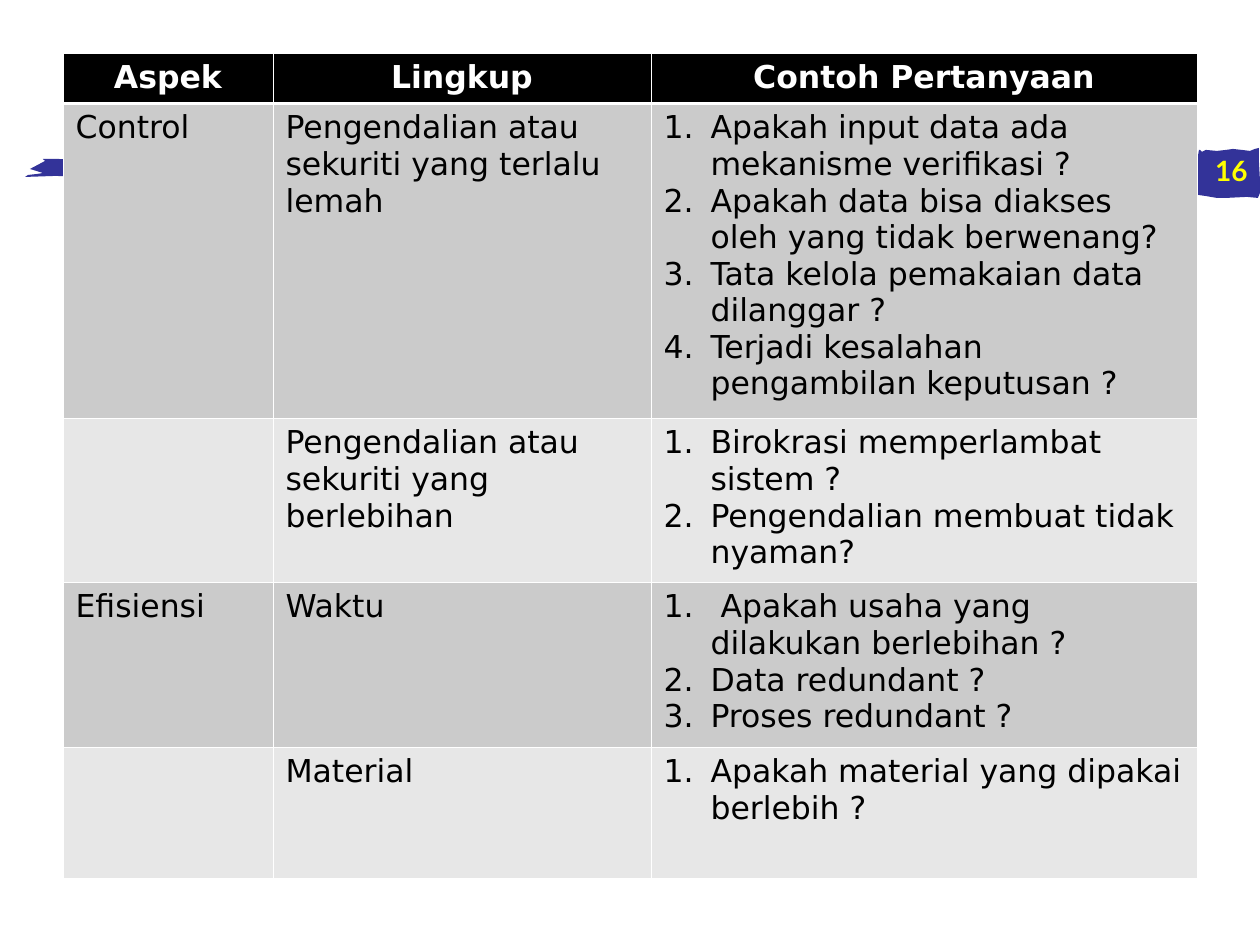
import pptx
import pptx.dml.color
import pptx.enum.text
import pptx.oxml
import pptx.oxml.ns
import pptx.util

SCALE = 914400 / 126
ALIGN = pptx.enum.text.PP_ALIGN
NAVY, YELLOW, BLACK, WHITE = "333399", "FFFF00", "000000", "FFFFFF"
BANDS = ("CBCBCB", "E7E7E7")

BADGE = [
    (1200, 150), (1202, 152), (1206, 150), (1217, 151), (1226, 150),
    (1233, 149), (1242, 150), (1250, 151), (1255, 149), (1259, 148),
    (1259, 161), (1260, 180), (1260, 193), (1258, 198), (1247, 197),
    (1226, 198), (1217, 198), (1205, 196), (1198, 195), (1197, 192),
    (1198, 186), (1197, 176), (1198, 156), (1199, 150),
]
STROKE = [
    (59, 159), (92, 160), (364, 159), (514, 160), (1007, 158),
    (1068, 159), (1065, 161), (1077, 163), (1071, 165), (1065, 168),
    (1074, 171), (1074, 175), (1069, 178), (859, 177), (514, 178),
    (363, 179), (150, 177), (54, 176), (25, 177), (28, 175), (37, 174),
    (43, 173), (30, 169), (45, 161), (43, 159),
]
COLUMNS = [210, 378, 546]
HEIGHTS = [50, 315, 164, 165, 131]
HEADINGS = ["Aspek", "Lingkup", "Contoh Pertanyaan"]
ROWS = [
    ("Control", "Pengendalian atau sekuriti yang terlalu lemah", [
        "Apakah input data ada mekanisme verifikasi ?",
        "Apakah data bisa diakses oleh yang tidak berwenang?",
        "Tata kelola pemakaian data dilanggar ?",
        "Terjadi kesalahan pengambilan keputusan ?"]),
    ("", "Pengendalian atau sekuriti yang berlebihan", [
        "Birokrasi memperlambat sistem ?",
        "Pengendalian membuat tidak nyaman?"]),
    ("Efisiensi", "Waktu", [
        " Apakah usaha yang dilakukan berlebihan ?",
        "Data redundant ?",
        "Proses redundant ?"]),
    ("", "Material", ["Apakah material yang dipakai berlebih ?"]),
]


def px(length):
    """Turn px into EMU."""
    return pptx.util.Emu(round(length * SCALE))


def color(value):
    """Turn a hex string into a colour."""
    return pptx.dml.color.RGBColor.from_string(value)


def add_xml(parent, tag, content="", **attributes):
    """Append a drawing element to the parent."""
    listed = "".join(f' {name}="{value}"' for name, value in attributes.items())
    namespace = pptx.oxml.ns.nsdecls("a")
    parent.append(pptx.oxml.parse_xml(
        f"<a:{tag} {namespace}{listed}>{content}</a:{tag}>"))


def write(frame, text, size=18, font="DejaVu Sans", fill=BLACK, bold=False,
          align=ALIGN.LEFT, numbered=False):
    """Fill a text frame with one paragraph, or one for each list item."""
    for index, line in enumerate([text] if isinstance(text, str) else text):
        paragraph = frame.add_paragraph() if index else frame.paragraphs[0]
        paragraph.alignment = align
        if numbered:
            properties = paragraph._p.get_or_add_pPr()
            properties.set("marL", str(px(47)))
            properties.set("indent", str(-px(47)))
            add_xml(properties, "buClr", f'<a:srgbClr val="{fill}"/>')
            add_xml(properties, "buAutoNum", type="arabicPeriod")
        paragraph.font.size = pptx.util.Pt(size)
        if not line:
            continue
        run = paragraph.add_run()
        run.text = line
        run.font.size = pptx.util.Pt(size)
        run.font.name = font
        run.font.bold = bold
        run.font.color.rgb = color(fill)


class Page:
    """Holds the style and the current slide."""

    def __init__(self, slide, accent=NAVY, border=WHITE):
        """Keep the slide and its colours."""
        self.slide, self.accent, self.border = slide, accent, border

    def brush(self, points):
        """Draw a closed brush mark."""
        builder = self.slide.shapes.build_freeform(*points[0], scale=SCALE)
        builder.add_line_segments(points[1:], close=True)
        shape = builder.convert_to_shape()
        shape.shadow.inherit = False
        shape.fill.solid()
        shape.fill.fore_color.rgb = color(self.accent)
        shape.line.fill.background()

    def text(self, left, top, width, height, text, **style):
        """Add a wrapped text box."""
        shape = self.slide.shapes.add_textbox(*map(px, (left, top, width, height)))
        shape.text_frame.word_wrap = True
        write(shape.text_frame, text, **style)

    def cell(self, cell, text, background, top=0.45, bottom=0.45, **style):
        """Format one table cell with its borders, fill and text."""
        properties = cell._tc.get_or_add_tcPr()
        line = f'<a:solidFill><a:srgbClr val="{self.border}"/></a:solidFill>'
        for side, width in zip("LRTB", (0.45, 0.45, top, bottom)):
            add_xml(properties, f"ln{side}", line, w=pptx.util.Pt(width))
        cell.fill.solid()
        cell.fill.fore_color.rgb = color(background)
        write(cell.text_frame, text, **style)

    def table(self, left, top, columns, heights, headings, rows):
        """Add a table with a dark heading row and shaded body rows."""
        table = self.slide.shapes.add_table(
            len(heights), len(columns), px(left), px(top),
            px(sum(columns)), px(sum(heights))).table
        table.horz_banding = False
        for column, width in zip(table.columns, columns):
            column.width = px(width)
        for row, height in zip(table.rows, heights):
            row.height = px(height)
        for index, heading in enumerate(headings):
            self.cell(table.cell(0, index), heading, BLACK, bottom=1.47,
                      fill=WHITE, bold=True, align=ALIGN.CENTER)
        for number, row in enumerate(rows, 1):
            for index, text in enumerate(row):
                self.cell(table.cell(number, index), text, BANDS[(number - 1) % 2],
                          top=1.47 if number == 1 else 0.45,
                          numbered=isinstance(text, list))


def main():
    """Build the slide and save it."""
    presentation = pptx.Presentation()
    presentation.slide_width, presentation.slide_height = px(1260), px(945)
    page = Page(presentation.slides.add_slide(presentation.slide_layouts[6]))
    page.brush(BADGE)
    page.text(1197, 147, 63, 44, "16", size=16, font="Lato", fill=YELLOW,
              bold=True, align=ALIGN.RIGHT)
    page.brush(STROKE)
    page.table(63, 53, COLUMNS, HEIGHTS, HEADINGS, ROWS)
    presentation.save("out.pptx")


if __name__ == "__main__":
    main()
